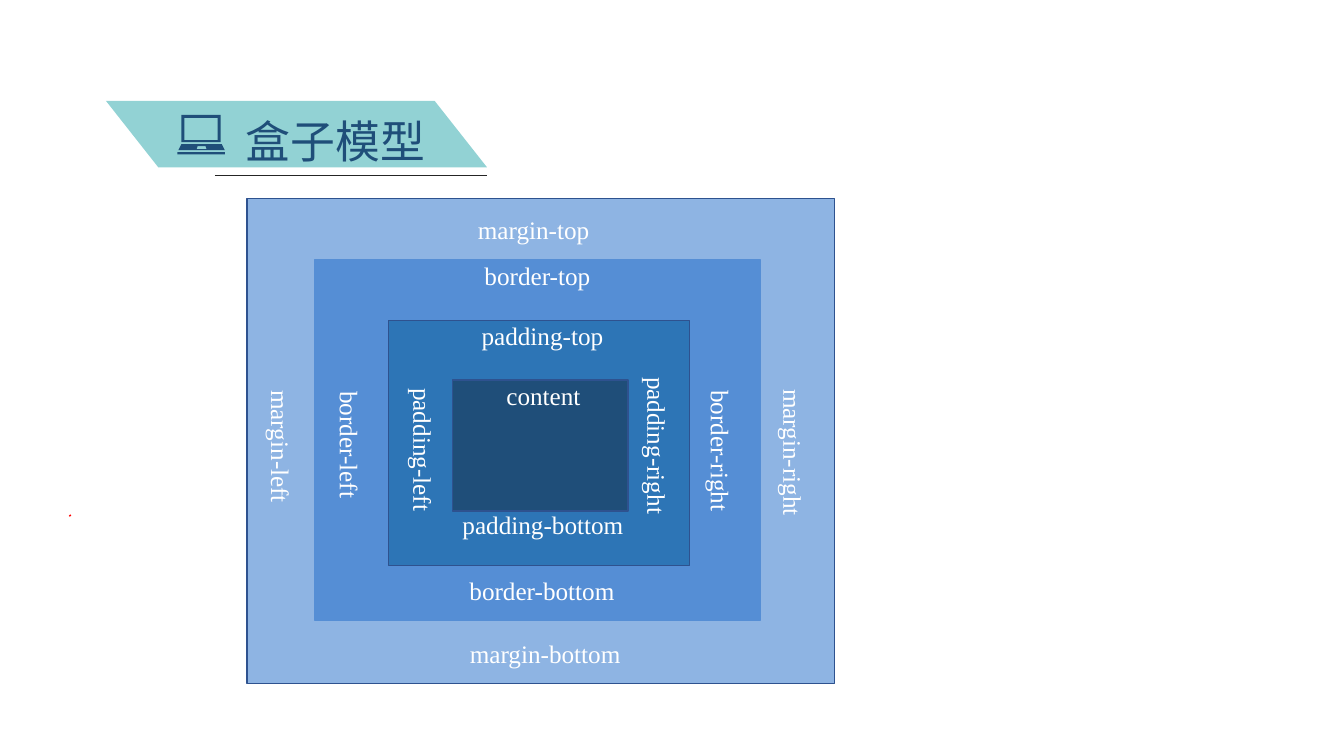
from lxml import etree
from pptx import Presentation
from pptx.dml.color import RGBColor
from pptx.enum import shapes, text
from pptx.oxml import ns
from pptx.util import Inches, Pt

NAVY, EDGE, WHITE = "1F4E79", "2E528F", "FFFFFF"


def color(value):
    """Turn a hex string into a colour."""
    return RGBColor.from_string(value)


class Painter:
    """Holds the text style and the current page."""

    font, size = "Times New Roman", 18

    def __init__(self, page):
        """Remember the page to draw on."""
        self.page = page

    def paint(self, shape, fill, line=None):
        """Set fill and outline, without a shadow."""
        shape.shadow.inherit = False
        shape.fill.solid()
        shape.fill.fore_color.rgb = color(fill)
        if line:
            shape.line.color.rgb = color(line)
            shape.line.width = Pt(0.96)
        else:
            shape.line.fill.background()

    def frame(self, shape):
        """Clear the margins of a shape and return its text frame."""
        frame = shape.text_frame
        frame.margin_left = frame.margin_right = 0
        frame.margin_top = frame.margin_bottom = 0
        frame.vertical_anchor = text.MSO_ANCHOR.TOP
        frame.word_wrap = True
        return frame

    def add_span(self, para, words, font=None, size=None, ink=WHITE):
        """Add one styled run to a paragraph."""
        span = para.add_run()
        span.text = words
        span.font.name = font or self.font
        span.font.size = Pt(size or self.size)
        span.font.color.rgb = color(ink)

    def box(self, place, fill, line, lines=()):
        """Draw a rectangle; lines hold (words, gap above, left indent)."""
        shape = self.page.shapes.add_shape(
            shapes.MSO_SHAPE.RECTANGLE, *map(Inches, place))
        self.paint(shape, fill, line)
        frame = self.frame(shape)
        for index, (words, gap, indent) in enumerate(lines):
            para = frame.add_paragraph() if index else frame.paragraphs[0]
            para.alignment = text.PP_ALIGN.CENTER
            para.space_before = Pt(gap)
            para._p.get_or_add_pPr().set("marL", str(Inches(indent)))
            self.add_span(para, words)

    def label(self, words, place, vertical=False, **style):
        """Place free text, turned clockwise when vertical."""
        shape = self.page.shapes.add_textbox(*map(Inches, place))
        frame = self.frame(shape)
        if vertical:
            frame._txBody.bodyPr.set("vert", "vert")
        self.add_span(frame.paragraphs[0], words, **style)

    def outline(self, contours, fill):
        """Fill one freeform made of closed contours."""
        builder = None
        for contour in contours:
            points = [(Inches(x), Inches(y)) for x, y in contour]
            if builder is None:
                builder = self.page.shapes.build_freeform(*points[0])
            else:
                builder.move_to(*points[0])
            builder.add_line_segments(points[1:], close=True)
        self.paint(builder.convert_to_shape(), fill)

    def rule(self, ends, ink, width):
        """Draw a straight line between two points."""
        line = self.page.shapes.add_connector(
            shapes.MSO_CONNECTOR.STRAIGHT, *map(Inches, ends))
        line.line.color.rgb = color(ink)
        line.line.width = Pt(width)
        etree.SubElement(line._element.spPr, ns.qn("a:effectLst"))


def rectangle(left, top, right, bottom):
    """Corners of an upright rectangle."""
    return [(left, top), (right, top), (right, bottom), (left, bottom)]


deck = Presentation()
deck.slide_width, deck.slide_height = Inches(13.33), Inches(7.5)
painter = Painter(deck.slides.add_slide(deck.slide_layouts[6]))

# Heading banner with laptop icon
painter.outline([[(1.05, 1), (4.31, 1), (4.83, 1.66), (1.57, 1.66)]], "92D2D4")
painter.rule((2.13, 1.74, 4.83, 1.74), "252525", 0.48)
painter.label("盒子模型", (2.44, 1.13, 8.46, 0.47),
              font="Courier New", size=32, ink=NAVY)
screen = [rectangle(1.8, 1.14, 2.19, 1.41), rectangle(1.83, 1.17, 2.16, 1.39)]
keyboard = [[(1.8, 1.43), (2.2, 1.43), (2.23, 1.49), (1.77, 1.49)],
            [(1.96, 1.45), (2.04, 1.45), (2.05, 1.48), (1.95, 1.48)]]
base = [rectangle(1.76, 1.51, 2.23, 1.53)]
painter.outline(screen + keyboard + base, NAVY)

# Nested boxes, from the outside in
painter.box((2.45, 1.97, 5.83, 4.81), "8EB4E3", EDGE)
painter.box((3.12, 2.58, 4.42, 3.57), "558ED5", "558ED5",
            [("border-top", 0, 0), ("border-bottom", 203.6, 0.09)])
painter.box((3.85, 3.18, 2.99, 2.43), "2D75B6", EDGE,
            [("padding-top", 0, 0.07), ("padding-bottom", 113.6, 0.08)])
painter.box((4.49, 3.77, 1.74, 1.3), NAVY, EDGE, [("content", 0, 0.06)])

# Labels beside the boxes
painter.label("margin-top", (4.74, 2.13, 1.13, 0.28))
painter.label("margin-bottom", (4.66, 6.33, 1.52, 0.28))
for words, left, top, length in [
        ("margin-left", 2.66, 3.87, 1.15), ("border-left", 3.34, 3.88, 1.09),
        ("padding-left", 4.07, 3.85, 1.25), ("padding-right", 6.39, 3.74, 1.39),
        ("border-right", 7.02, 3.87, 1.23), ("margin-right", 7.74, 3.86, 1.29)]:
    painter.label(words, (left, top, 0.28, length), vertical=True)

# Small mark at the left edge
painter.rule((0.7, 5.12, 0.69, 5.11), "FF0000", 1.5)

deck.save("out.pptx")
